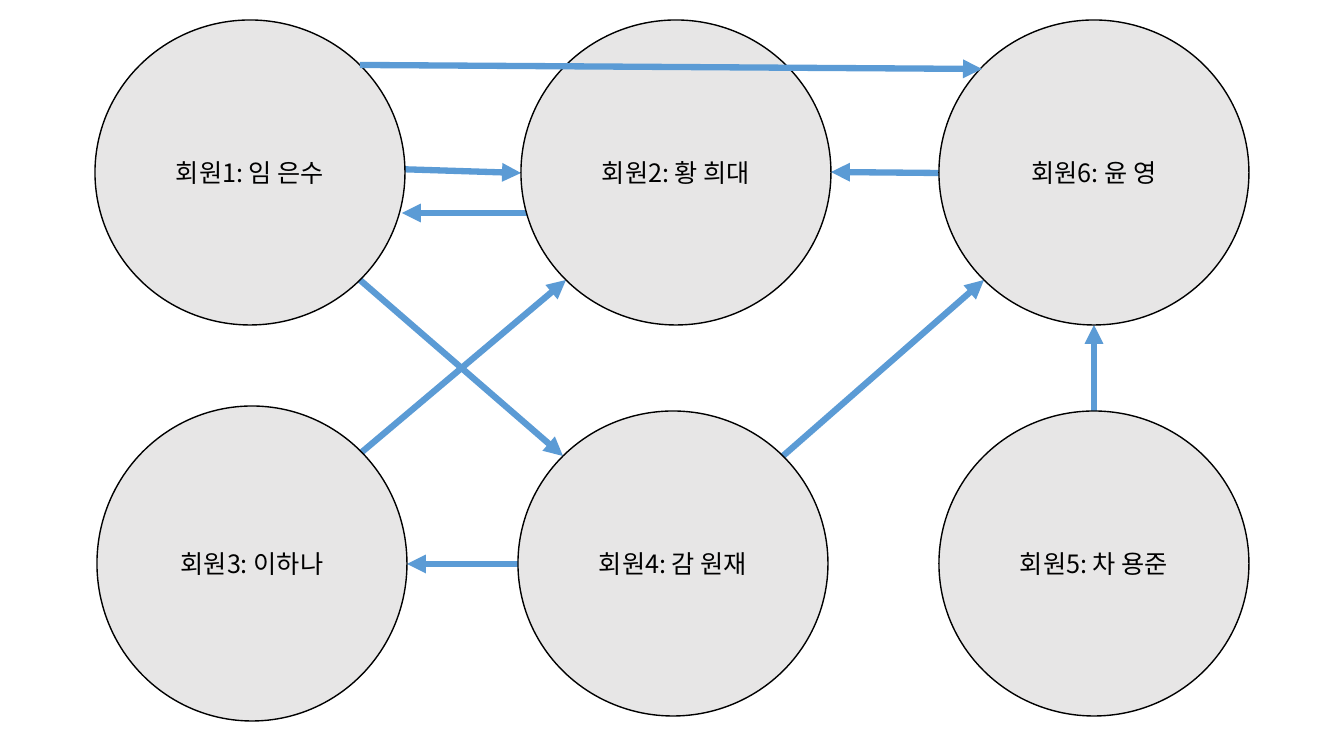
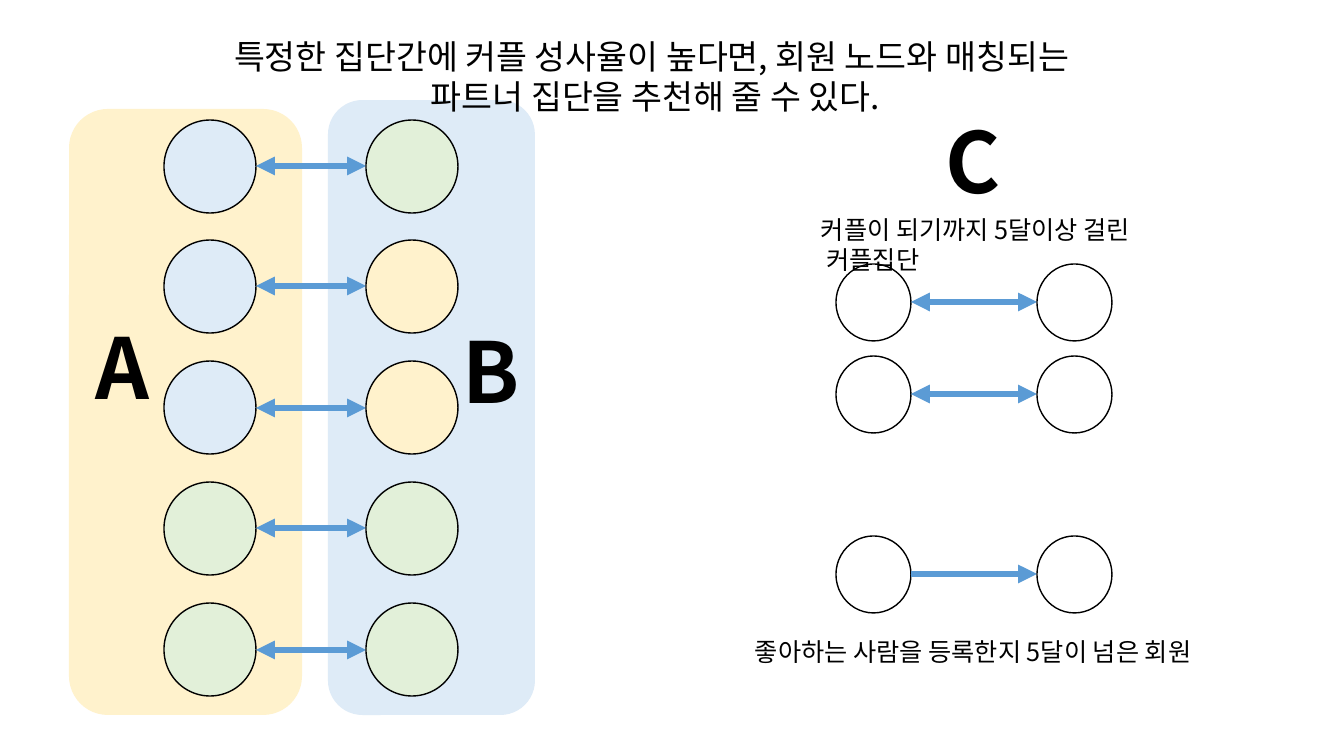
"""Two slides on matching: a graph of members and groups of couples."""
from dataclasses import dataclass
from math import cos, radians, sin

from lxml import etree
from pptx import Presentation
from pptx import util as u
from pptx.dml.color import RGBColor
from pptx.enum import shapes, text
from pptx.oxml.ns import qn

PX = 914400 / 100.8
FONT = "Noto Sans CJK KR"
COLORS = {
    "ink": "000000",
    "white": "FFFFFF",
    "grey": "E7E6E6",
    "arrow": "5B9BD5",
    "blue": "DEEBF7",
    "yellow": "FFF2CC",
    "green": "E2F0D9",
}
ANGLES = {"right": 0, "lower right": 45, "bottom": 90, "lower left": 135,
          "left": 180, "upper left": 225, "top": 270, "upper right": 315}


@dataclass(frozen=True)
class Box:
    """A rectangle in pixels."""
    x: int
    y: int
    w: int
    h: int

    def site(self, name: str) -> tuple[int, int]:
        """Return the named point on the ellipse inside the box."""
        a = radians(ANGLES[name])
        return (round(self.x + self.w / 2 * (1 + cos(a))),
                round(self.y + self.h / 2 * (1 + sin(a))))


@dataclass(frozen=True)
class Label:
    """A free text; each line is a paragraph."""
    box: Box
    text: str
    size: int = 18
    bold: bool = False
    centred: bool = False
    wrap: bool = True


@dataclass(frozen=True)
class Pair:
    """Two circles in a row with an arrow between them."""
    left: Box
    right: Box
    left_fill: str = "white"
    right_fill: str = "white"
    mutual: bool = True


def emu(px: float) -> u.Emu:
    """Turn pixels into EMU."""
    return u.Emu(round(px * PX))


def bounds(box: Box) -> list[u.Emu]:
    """Return the box as left, top, width and height in EMU."""
    return [emu(v) for v in (box.x, box.y, box.w, box.h)]


def rgb(name: str) -> RGBColor:
    """Look up a colour."""
    return RGBColor.from_string(COLORS[name])


def style_text(tf, size: int, bold: bool = False, centred: bool = False) -> None:
    """Format all the runs of a text frame."""
    for p in tf.paragraphs:
        p.alignment = text.PP_ALIGN.CENTER if centred else text.PP_ALIGN.LEFT
        for r in p.runs:
            r.font.name = FONT
            r.font.size = u.Pt(size)
            r.font.bold = bold
            r.font.color.rgb = rgb("ink")
            etree.SubElement(r.font._element, qn("a:ea"), typeface=FONT)


def add_figure(s, kind, box: Box, fill: str, outlined: bool = True):
    """Add a filled shape without shadow."""
    sp = s.shapes.add_shape(kind, *bounds(box))
    sp.shadow.inherit = False
    sp.fill.solid()
    sp.fill.fore_color.rgb = rgb(fill)
    if outlined:
        sp.line.color.rgb = rgb("ink")
        sp.line.width = u.Pt(1)
    else:
        sp.line.fill.background()
    return sp


def add_circle(s, box: Box, fill: str, caption: str = "") -> None:
    """Add an outlined circle, with a caption if there is one."""
    sp = add_figure(s, shapes.MSO_SHAPE.OVAL, box, fill)
    if caption:
        tf = sp.text_frame
        tf.text = caption
        tf.vertical_anchor = text.MSO_ANCHOR.MIDDLE
        style_text(tf, 18, centred=True)


def add_arrow(s, start: tuple[int, int], end: tuple[int, int],
              mutual: bool = False) -> None:
    """Add a thick arrow, with a head at both ends if mutual."""
    c = s.shapes.add_connector(shapes.MSO_CONNECTOR.STRAIGHT,
                               *map(emu, (*start, *end)))
    c.line.color.rgb = rgb("arrow")
    c.line.width = u.Pt(4.5)
    ln = c.line._get_or_add_ln()
    if mutual:
        etree.SubElement(ln, qn("a:headEnd"), type="triangle")
    etree.SubElement(ln, qn("a:tailEnd"), type="triangle")
    etree.SubElement(c._element.spPr, qn("a:effectLst"))


def add_label(s, label: Label) -> None:
    """Add a text box."""
    tf = s.shapes.add_textbox(*bounds(label.box)).text_frame
    tf.word_wrap = label.wrap
    tf.text = label.text
    style_text(tf, label.size, label.bold, label.centred)


def add_pair(s, pair: Pair) -> None:
    """Add two circles and the arrow that joins them."""
    add_circle(s, pair.left, pair.left_fill)
    add_arrow(s, pair.left.site("right"), pair.right.site("left"), pair.mutual)
    add_circle(s, pair.right, pair.right_fill)


def letter(x: int, y: int, name: str) -> Label:
    """Describe the large letter of a group."""
    return Label(Box(x, y, 70, 112), name, 60, bold=True, wrap=False)


MEMBERS = {
    5: (Box(939, 411, 310, 305), "차 용준"),
    4: (Box(518, 411, 310, 305), "감 원재"),
    3: (Box(97, 406, 310, 315), "이하나"),
    6: (Box(939, 20, 310, 305), "윤 영"),
    2: (Box(521, 20, 310, 305), "황 희대"),
    1: (Box(95, 20, 310, 305), "임 은수"),
}
LIKES = [
    (3, "upper right", 2, "lower left"),
    (6, "left", 2, "right"),
    (4, "left", 3, "right"),
    (5, "top", 6, "bottom"),
    (4, "upper right", 6, "lower left"),
    (1, "lower right", 4, "upper left"),
]

PANELS = [(Box(328, 100, 207, 615), "blue"), (Box(69, 109, 233, 606), "yellow")]
ROW_FILLS = [("blue", "green"), ("blue", "yellow"), ("blue", "yellow"),
             ("green", "green"), ("green", "green")]
ROW_TOPS = [120 + i * 483 // 4 for i in range(len(ROW_FILLS))]
COUPLES = [Pair(Box(164, y, 92, 93), Box(366, y, 92, 93), *fills)
           for y, fills in zip(ROW_TOPS, ROW_FILLS)]
SLOW_COUPLES = [Pair(Box(836, y, 75, 77), Box(1037, y, 75, 77), mutual=mutual)
                for y, mutual in ((264, True), (356, True), (536, False))]
LABELS = [
    letter(86, 311, "A"),
    letter(453, 315, "B"),
    letter(936, 105, "C"),
    Label(Box(0, 31, 1303, 92),
          "특정한 집단간에 커플 성사율이 높다면, 회원 노드와 매칭되는\n"
          " 파트너 집단을 추천해 줄 수 있다.", 24, centred=True),
    Label(Box(811, 209, 421, 72), "커플이 되기까지 5달이상 걸린\n 커플집단"),
    Label(Box(745, 631, 660, 40), "좋아하는 사람을 등록한지 5달이 넘은 회원"),
]


def build_members(s) -> None:
    """Draw the members and who likes whom."""
    add_arrow(s, (762, 213), (402, 213))
    add_arrow(s, (364, 168), (521, 173))
    for source, start, target, end in LIKES:
        add_arrow(s, MEMBERS[source][0].site(start), MEMBERS[target][0].site(end))
    for number, (box, name) in MEMBERS.items():
        add_circle(s, box, "grey", f"회원{number}: {name}")
    add_arrow(s, MEMBERS[1][0].site("upper right"), (982, 69))


def build_groups(s) -> None:
    """Draw the groups A, B and C."""
    for box, fill in PANELS:
        add_figure(s, shapes.MSO_SHAPE.ROUNDED_RECTANGLE, box, fill, outlined=False)
    for pair in COUPLES + SLOW_COUPLES:
        add_pair(s, pair)
    for label in LABELS:
        add_label(s, label)


def main() -> None:
    """Build and save the presentation."""
    prs = Presentation()
    prs.slide_width, prs.slide_height = emu(1344), emu(756)
    for build in (build_members, build_groups):
        build(prs.slides.add_slide(prs.slide_layouts[6]))
    prs.save("out.pptx")


main()
